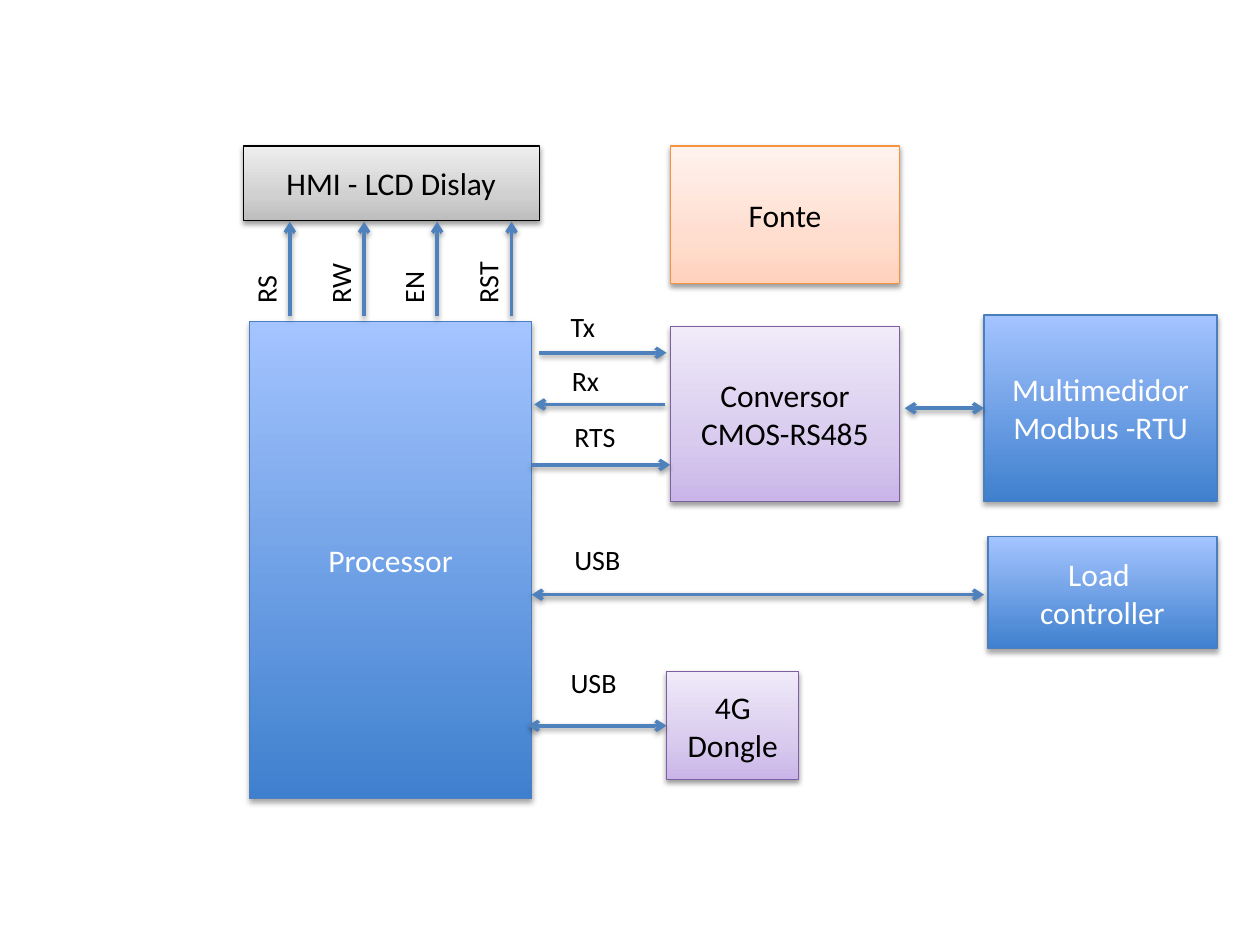
from typing import NamedTuple

from lxml.etree import SubElement
from pptx import Presentation
from pptx.dml.color import RGBColor
from pptx.enum.shapes import MSO_CONNECTOR, MSO_SHAPE
from pptx.enum.text import MSO_ANCHOR, MSO_AUTO_SIZE, PP_ALIGN
from pptx.oxml.ns import qn
from pptx.util import Inches, Pt

FONT = "Calibri"
ARROW_COLOR = "4F81BD"


class Style(NamedTuple):
    stops: tuple[tuple[int, str], ...]
    line: str
    text: str = "000000"
    shadow_alpha: int = 38
    shadow_dist: float = 1.6


class Block(NamedTuple):
    text: str
    left: float
    top: float
    width: float
    height: float
    style: Style


class Arrow(NamedTuple):
    x1: float
    y1: float
    x2: float
    y2: float
    both: bool = False


class Label(NamedTuple):
    text: str
    left: float
    top: float
    rotation: int = 0


BLUE = Style(((0, "3F80CE"), (100, "A4C4FF")), "4B7EBC", "FFFFFF", 35, 1.8)
PURPLE = Style(((0, "C9B5E8"), (35, "D8CBEE"), (100, "F0EAF9")), "7D60A0")
GRAY = Style(((0, "BDBDBD"), (35, "D1D1D1"), (100, "EEEEEE")), "000000")
ORANGE = Style(((0, "FFD2BD"), (35, "FFDED0"), (100, "FFF2ED")), "F69240")

BLOCKS = [
    Block("Conversor CMOS-RS485", 5.32, 2.59, 1.82, 1.39, PURPLE),
    Block("Multimedidor\nModbus -RTU", 7.81, 2.5, 1.85, 1.48, BLUE),
    Block("Processor", 1.98, 2.55, 2.24, 3.79, BLUE),
    Block("4G Dongle", 5.29, 5.33, 1.05, 0.86, PURPLE),
    Block("Load \ncontroller", 7.84, 4.26, 1.82, 0.89, BLUE),
    Block("HMI - LCD Dislay", 1.93, 1.16, 2.35, 0.59, GRAY),
    Block("Fonte", 5.32, 1.16, 1.82, 1.09, ORANGE),
]

ARROWS = [
    Arrow(4.19, 5.76, 5.29, 5.76, True),
    Arrow(7.81, 3.24, 7.18, 3.24, True),
    Arrow(7.81, 4.72, 4.22, 4.72, True),
    Arrow(4.28, 2.8, 5.29, 2.8),
    Arrow(5.28, 3.21, 4.24, 3.21),
    Arrow(4.22, 3.69, 5.32, 3.69),
]

LABELS = [
    Label("USB", 4.46, 4.26),
    Label("USB", 4.43, 5.23),
    Label("Tx", 4.43, 2.41),
    Label("Rx", 4.44, 2.84),
    Label("RTS", 4.46, 3.28),
]

DISPLAY_PINS = {"RS": 2.3, "RW": 2.89, "EN": 3.47, "RST": 4.06}


def rgb(color: str) -> RGBColor:
    return RGBColor.from_string(color)


def add_color(parent, color: str):
    return SubElement(parent, qn("a:srgbClr"), val=color)


def add_shadow(effects, alpha: int = 38, dist: float = 1.6) -> None:
    shadow = SubElement(
        effects, qn("a:outerShdw"), blurRad=str(Pt(3.1)), dist=str(Pt(dist)),
        dir="5400000", rotWithShape="0",
    )
    SubElement(add_color(shadow, "000000"), qn("a:alpha"), val=str(alpha * 1000))


def fill_gradient(s, stops: tuple[tuple[int, str], ...]) -> None:
    s.fill.gradient()
    s.fill.gradient_angle = 90
    stop_list = s._element.spPr.find(".//" + qn("a:gsLst"))
    for stop in list(stop_list):
        stop_list.remove(stop)
    for position, color in stops:
        add_color(SubElement(stop_list, qn("a:gs"), pos=str(position * 1000)), color)


def write_text(tf, text: str, size: int, color: str, align: PP_ALIGN) -> None:
    tf.word_wrap = True
    tf.text = text
    for p in tf.paragraphs:
        p.alignment = align
        p.font.name = FONT
        p.font.size = Pt(size)
        p.font.color.rgb = rgb(color)


def draw_block(slide, block: Block) -> None:
    style = block.style
    s = slide.shapes.add_shape(
        MSO_SHAPE.RECTANGLE, Inches(block.left), Inches(block.top),
        Inches(block.width), Inches(block.height),
    )
    fill_gradient(s, style.stops)
    s.line.color.rgb = rgb(style.line)
    s.line.width = Pt(0.75)
    s.shadow.inherit = False
    add_shadow(s._element.spPr.find(qn("a:effectLst")),
               style.shadow_alpha, style.shadow_dist)
    s.text_frame.vertical_anchor = MSO_ANCHOR.MIDDLE
    write_text(s.text_frame, block.text, 18, style.text, PP_ALIGN.CENTER)


def draw_arrow(slide, arrow: Arrow) -> None:
    s = slide.shapes.add_connector(
        MSO_CONNECTOR.STRAIGHT, Inches(arrow.x1), Inches(arrow.y1),
        Inches(arrow.x2), Inches(arrow.y2),
    )
    s.line.color.rgb = rgb(ARROW_COLOR)
    s.line.width = Pt(2)
    ln = s.line._get_or_add_ln()
    if arrow.both:
        SubElement(ln, qn("a:headEnd"), type="arrow")
    SubElement(ln, qn("a:tailEnd"), type="arrow")
    add_shadow(SubElement(s._element.spPr, qn("a:effectLst")))


def draw_label(slide, label: Label) -> None:
    s = slide.shapes.add_textbox(
        Inches(label.left), Inches(label.top), Inches(0.62), Inches(0.37)
    )
    s.rotation = label.rotation
    write_text(s.text_frame, label.text, 16, "000000", PP_ALIGN.LEFT)
    s.text_frame.auto_size = MSO_AUTO_SIZE.SHAPE_TO_FIT_TEXT


def main() -> None:
    prs = Presentation()
    prs.slide_width = Inches(10)
    prs.slide_height = Inches(7.5)
    slide = prs.slides.add_slide(prs.slide_layouts[6])
    for block in BLOCKS:
        draw_block(slide, block)
    for arrow in ARROWS:
        draw_arrow(slide, arrow)
    for label in LABELS:
        draw_label(slide, label)
    for name, x in DISPLAY_PINS.items():
        draw_arrow(slide, Arrow(x, 2.51, x, 1.76))
        draw_label(slide, Label(name, x - 0.5, 2.01, 270))
    prs.save("out.pptx")


if __name__ == "__main__":
    main()
